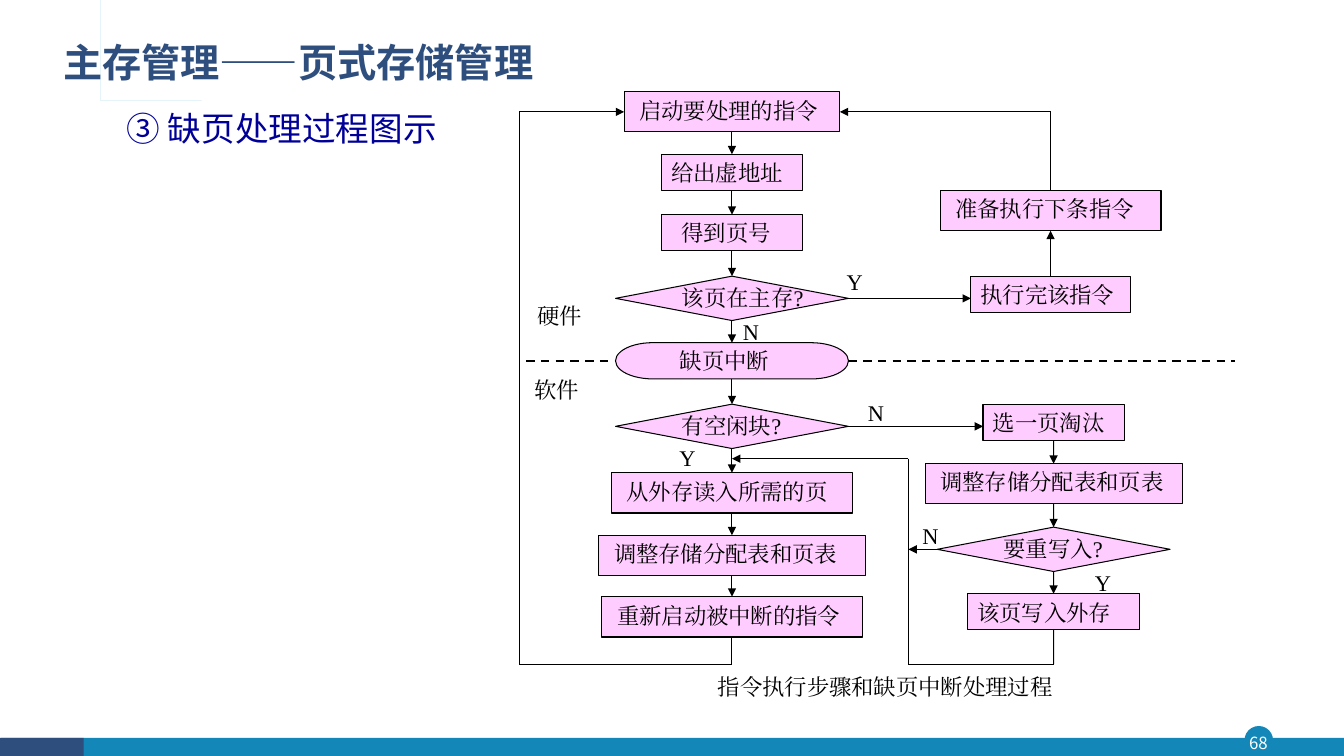
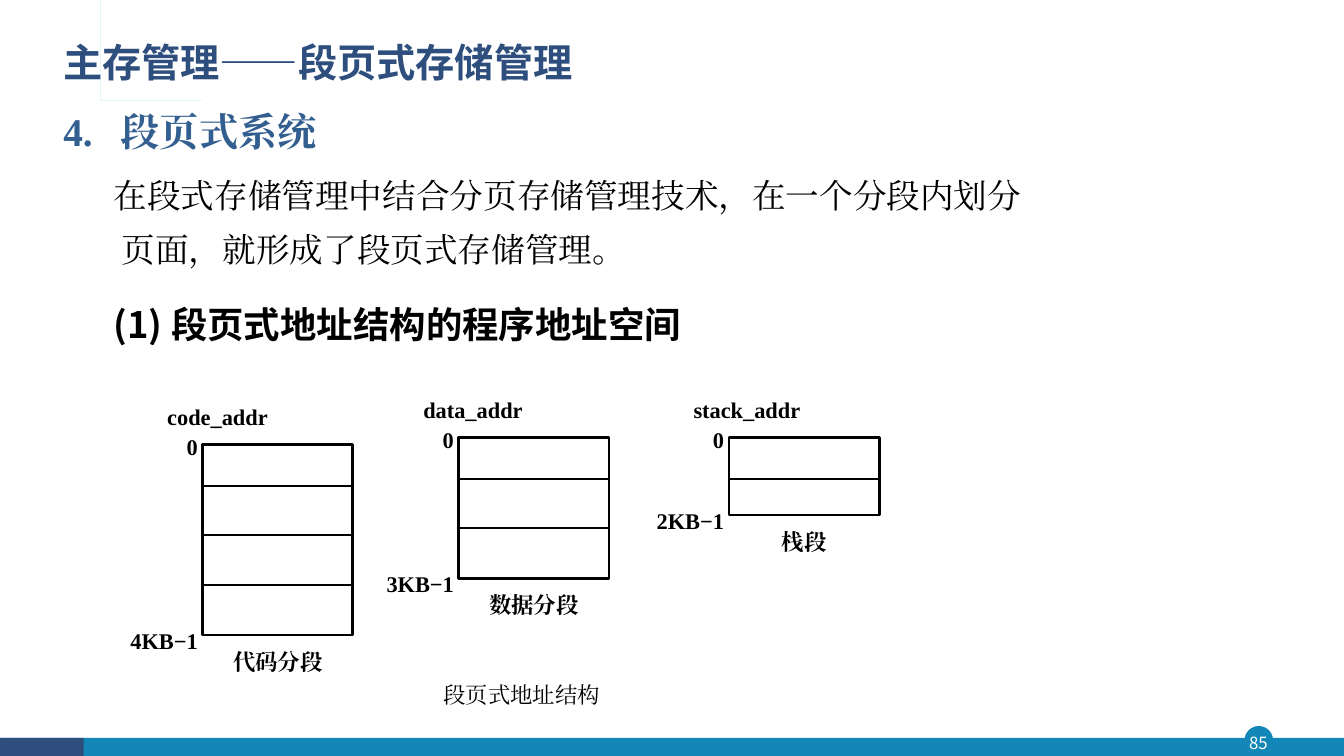
import pptx
import pptx.util
from pptx.dml.color import RGBColor
from pptx.enum.dml import MSO_LINE
from pptx.enum.shapes import MSO_CONNECTOR, MSO_SHAPE
from pptx.enum.text import MSO_ANCHOR, PP_ALIGN
from pptx.oxml.ns import qn
from lxml import etree

Inches = pptx.util.Inches
Pt = pptx.util.Pt

NAVY = RGBColor(0x2E, 0x4E, 0x7E)
TEAL = RGBColor(0x13, 0x87, 0xB7)
SKY = RGBColor(0x28, 0xA9, 0xD6)
STEEL = RGBColor(0x33, 0x5F, 0x90)
INK_BLUE = RGBColor(0x00, 0x00, 0x99)
PINK = RGBColor(0xFF, 0xCC, 0xFF)
BLACK = RGBColor(0, 0, 0)
WHITE = RGBColor(0xFF, 0xFF, 0xFF)

SANS = "Noto Sans CJK SC"
SERIF = "Times New Roman"
LABEL = dict(name=SERIF, size=Pt(16), bold=False)
BOLD_LABEL = dict(LABEL, bold=True)
TITLE = dict(name=SANS, size=Pt(28), bold=True)
TOPIC = dict(name=SANS, size=Pt(24), bold=False)
PAGE_NUMBER = dict(name=SANS, size=Pt(12), bold=False)

TOP, LEFT, BOTTOM, RIGHT = range(4)
BRACKET = [(0.54, 0.39), (0.54, 0.85), (1.87, 0.85), (1.87, 0.87), (0.52, 0.87),
           (0.52, 0.41), (0.47, 0.41), (0.47, 0.87), (0.36, 0.87), (0.36, 0.39),
           (0.39, 0.39), (0.39, 0.84), (0.44, 0.84), (0.44, 0.39)]


def inches(*lengths):
    return [Inches(length) for length in lengths]


def set_values(target, values):
    for key, value in values.items():
        setattr(target, key, value)


def write(paragraph, text, font, color=BLACK, **layout):
    set_values(paragraph, layout)
    run = paragraph.add_run()
    run.text = text
    set_values(run.font, font)
    run.font.color.rgb = color
    east_asian = etree.SubElement(run.font._element, qn("a:ea"))
    east_asian.set("typeface", font["name"])


def indent(paragraph, margin, first=0):
    properties = paragraph._p.get_or_add_pPr()
    properties.set("marL", str(Inches(margin)))
    properties.set("indent", str(Inches(first)))


def add_text(slide, box, text, font, color=BLACK, frame=None, **layout):
    text_frame = slide.shapes.add_textbox(*inches(*box)).text_frame
    set_values(text_frame, dict(dict(word_wrap=True), **(frame or {})))
    paragraph = text_frame.paragraphs[0]
    write(paragraph, text, font, color, **layout)
    return paragraph


def paint(shape, fill=None, line=None, width=0.75):
    shape.shadow.inherit = False
    if fill is None:
        shape.fill.background()
    else:
        shape.fill.solid()
        shape.fill.fore_color.rgb = fill
    if line is None:
        shape.line.fill.background()
    else:
        shape.line.color.rgb = line
        shape.line.width = Pt(width)


def add_shape(slide, kind, box, **look):
    shape = slide.shapes.add_shape(kind, *inches(*box))
    paint(shape, **look)
    return shape


def add_line(slide, start, end, arrow=False, width=0.75, dash=None):
    """Draw a straight line; each end is a point or a (shape, side) pair."""
    points = [(0, 0) if hasattr(p[0], "shape_type") else p for p in (start, end)]
    line = slide.shapes.add_connector(
        MSO_CONNECTOR.STRAIGHT, *inches(*points[0], *points[1]))
    for place, join in ((start, line.begin_connect), (end, line.end_connect)):
        if hasattr(place[0], "shape_type"):
            join(*place)
    line.line.color.rgb = BLACK
    line.line.width = Pt(width)
    if dash:
        line.line.dash_style = dash
    if arrow:
        head = etree.SubElement(line.line._get_or_add_ln(), qn("a:tailEnd"))
        head.set("type", "triangle")
    etree.SubElement(line._element.spPr, qn("a:effectLst"))


def add_frame(deck, title, number):
    """Add a blank slide with the shared footer, title mark and title."""
    slide = deck.slides.add_slide(deck.slide_layouts[6])
    add_shape(slide, MSO_SHAPE.OVAL, (12.35, 7.21, 0.27, 0.27),
              fill=TEAL, line=TEAL, width=1)
    for left, width, color in ((0.01, 13.32, TEAL), (0, 0.83, NAVY)):
        add_shape(slide, MSO_SHAPE.RECTANGLE, (left, 7.32, width, 0.19), fill=color)
    no_margins = {f"margin_{side}": 0 for side in ("left", "right", "top", "bottom")}
    add_text(slide, (12.32, 7.21, 0.32, 0.31), number, PAGE_NUMBER, WHITE,
             dict(no_margins, vertical_anchor=MSO_ANCHOR.MIDDLE),
             alignment=PP_ALIGN.CENTER)
    outline = slide.shapes.build_freeform(*BRACKET[0], scale=Inches(1))
    outline.add_line_segments(BRACKET[1:], close=True)
    paint(outline.convert_to_shape(), fill=SKY)
    add_text(slide, (0.53, 0.34, 10.49, 0.56), title, TITLE, NAVY,
             dict(vertical_anchor=MSO_ANCHOR.BOTTOM), line_spacing=0.9)
    return slide


def add_flowchart(slide, left, top):
    main, done, evict = 2.11, 5.27, 5.3
    loop_bottom, merge_x, merge_y = 5.68, 3.86, 3.64
    box, choice, terminal = (MSO_SHAPE.RECTANGLE, MSO_SHAPE.FLOWCHART_DECISION,
                             MSO_SHAPE.FLOWCHART_TERMINATOR)
    # key: kind, text, column centre, top, width, height, text inset
    steps = {
        "start": (box, "启动要处理的指令", main, 0, 2.14, 0.4, 0.15),
        "address": (box, "给出虚地址", main, 0.62, 1.4, 0.36, 0.1),
        "page": (box, "得到页号", main, 1.22, 1.4, 0.36, 0.2),
        "in_memory": (choice, "该页在主存?", main, 1.83, 2.31, 0.44, 0.56),
        "fault": (terminal, "缺页中断", main, 2.49, 2.31, 0.36, 0.53),
        "free_block": (choice, "有空闲块?", main, 3.1, 2.31, 0.44, 0.56),
        "read": (box, "从外存读入所需的页", main, 3.78, 2.39, 0.4, 0.15),
        "update": (box, "调整存储分配表和页表", main, 4.4, 2.64, 0.4, 0.15),
        "restart": (box, "重新启动被中断的指令", main, 5.01, 2.58, 0.4, 0.15),
        "finish": (box, "执行完该指令", done, 1.83, 1.59, 0.36, 0.1),
        "next": (box, "准备执行下条指令", done, 0.98, 2.19, 0.4, 0.15),
        "victim": (box, "选一页淘汰", evict, 3.1, 1.4, 0.36, 0.1),
        "unmap": (box, "调整存储分配表和页表", evict, 3.69, 2.55, 0.4, 0.15),
        "rewrite": (choice, "要重写入?", evict, 4.32, 2.31, 0.44, 0.56),
        "write_out": (box, "该页写入外存", evict, 4.98, 1.71, 0.36, 0.1),
    }
    nodes = {}
    for key, (kind, text, centre, y, width, height, inset) in steps.items():
        x = left + centre - width / 2
        node = add_shape(slide, kind, (x, top + y, width, height),
                         fill=PINK, line=BLACK)
        nodes[key] = node
        if kind == choice:
            add_text(slide, (x + inset, top + y + 0.03, 1.6, 0.36), text, LABEL)
            continue
        anchor = MSO_ANCHOR.MIDDLE if kind == terminal else MSO_ANCHOR.TOP
        set_values(node.text_frame, dict(margin_left=Inches(inset), margin_right=0,
                                         vertical_anchor=anchor))
        write(node.text_frame.paragraphs[0], text, LABEL, alignment=PP_ALIGN.LEFT)

    def at(x, y):
        return left + x, top + y

    def side(key, number):
        return nodes[key], number

    chains = (
        ("start", "address", "page", "in_memory", "fault", "free_block",
         "read", "update", "restart"),
        ("victim", "unmap", "rewrite", "write_out"),
    )
    for chain in chains:
        for upper, lower in zip(chain, chain[1:]):
            add_line(slide, side(upper, BOTTOM), side(lower, TOP), arrow=True)

    routes = (
        [side("finish", TOP), side("next", BOTTOM)],
        [side("in_memory", RIGHT), at(4.48, 2.05)],
        [side("free_block", RIGHT), at(4.6, 3.32)],
        [side("rewrite", LEFT), at(merge_x, 4.54)],
        [side("next", TOP), at(done, 0.2), side("start", RIGHT)],
        [side("restart", BOTTOM), at(main, loop_bottom), at(0, loop_bottom),
         at(0, 0.2), side("start", LEFT)],
        [side("write_out", BOTTOM), at(evict, loop_bottom),
         at(merge_x, loop_bottom), at(merge_x, merge_y), at(main, merge_y)],
    )
    for route in routes:
        for index in range(1, len(route)):
            add_line(slide, route[index - 1], route[index],
                     arrow=index == len(route) - 1)
    for start, end in ((at(0.07, 2.67), side("fault", LEFT)),
                       (side("fault", RIGHT), at(7.1, 2.67))):
        add_line(slide, start, end, width=1.5, dash=MSO_LINE.DASH)

    notes = (("Y", 1.49, 3.45), ("N", 3.36, 3), ("N", 2.12, 2.2), ("Y", 3.15, 1.7),
             ("硬件", 0.08, 2.04), ("软件", 0.05, 2.77), ("Y", 5.61, 4.69),
             ("N", 3.9, 4.22))
    for text, x, y in notes:
        add_text(slide, (*at(x, y), 0.84, 0.39), text, LABEL)
    add_text(slide, (*at(1.87, 5.72), 3.79, 0.37),
             "指令执行步骤和缺页中断处理过程", LABEL)


def add_segment(slide, left, top, height, address, last, caption):
    """Draw one segment, split into pages, with its address labels."""
    width, first_page, page = 1.49, 0.41, 0.49
    bottom = top + height
    add_shape(slide, MSO_SHAPE.RECTANGLE, (left, top, width, height),
              line=BLACK, width=2)
    y = top + first_page
    while y < bottom - page / 2:
        add_line(slide, (left, y), (left + width, y), width=1.5)
        y += page
    add_text(slide, (left - 0.45, top - 0.46, 1.45, 0.37), address, BOLD_LABEL)
    for text, label_top in (("0", top - 0.16), (last, bottom - 0.13)):
        add_text(slide, (left - 0.95, label_top, 1, 0.37), text, BOLD_LABEL,
                 alignment=PP_ALIGN.RIGHT)
    add_text(slide, (left, bottom + 0.08, width, 0.37), caption, BOLD_LABEL,
             alignment=PP_ALIGN.CENTER)


def add_body(slide, box):
    heading = add_text(slide, box, "4.\t段页式系统", dict(TITLE, name=SERIF), STEEL,
                       line_spacing=Pt(41))
    indent(heading, 0.57, -0.57)
    frame = slide.shapes[-1].text_frame
    explanation = frame.add_paragraph()
    indent(explanation, 0.58, -0.08)
    write(explanation,
          "在段式存储管理中结合分页存储管理技术，在一个分段内划分页面，"
          "就形成了段页式存储管理。",
          dict(TOPIC, name=SERIF), line_spacing=Pt(38.6), space_before=Pt(5))
    subheading = frame.add_paragraph()
    indent(subheading, 0.5)
    write(subheading, "(1) 段页式地址结构的程序地址空间",
          dict(TITLE, size=Pt(26)), line_spacing=Pt(47), space_before=Pt(8))


def build_fault_slide(deck):
    slide = add_frame(deck, "主存管理——页式存储管理", "68")
    topic = add_text(slide, (0.53, 0.91, 4.1, 0.58), "③ 缺页处理过程图示",
                     TOPIC, INK_BLUE, line_spacing=Pt(37))
    indent(topic, 1, -0.37)
    add_flowchart(slide, 5.15, 0.91)


def build_segment_slide(deck):
    slide = add_frame(deck, "主存管理——段页式存储管理", "85")
    add_body(slide, (0.53, 0.91, 9.96, 2.72))
    segments = ((2.01, 4.41, 1.89, "code_addr", "4KB−1", "代码分段"),
                (4.55, 4.34, 1.4, "data_addr", "3KB−1", "数据分段"),
                (7.23, 4.34, 0.77, "stack_addr", "2KB−1", "栈段"))
    for segment in segments:
        add_segment(slide, *segment)
    add_text(slide, (4.3, 6.71, 2, 0.37), "段页式地址结构", LABEL)


def main():
    deck = pptx.Presentation()
    deck.slide_width, deck.slide_height = inches(13.33, 7.5)
    build_fault_slide(deck)
    build_segment_slide(deck)
    deck.save("out.pptx")


if __name__ == "__main__":
    main()
